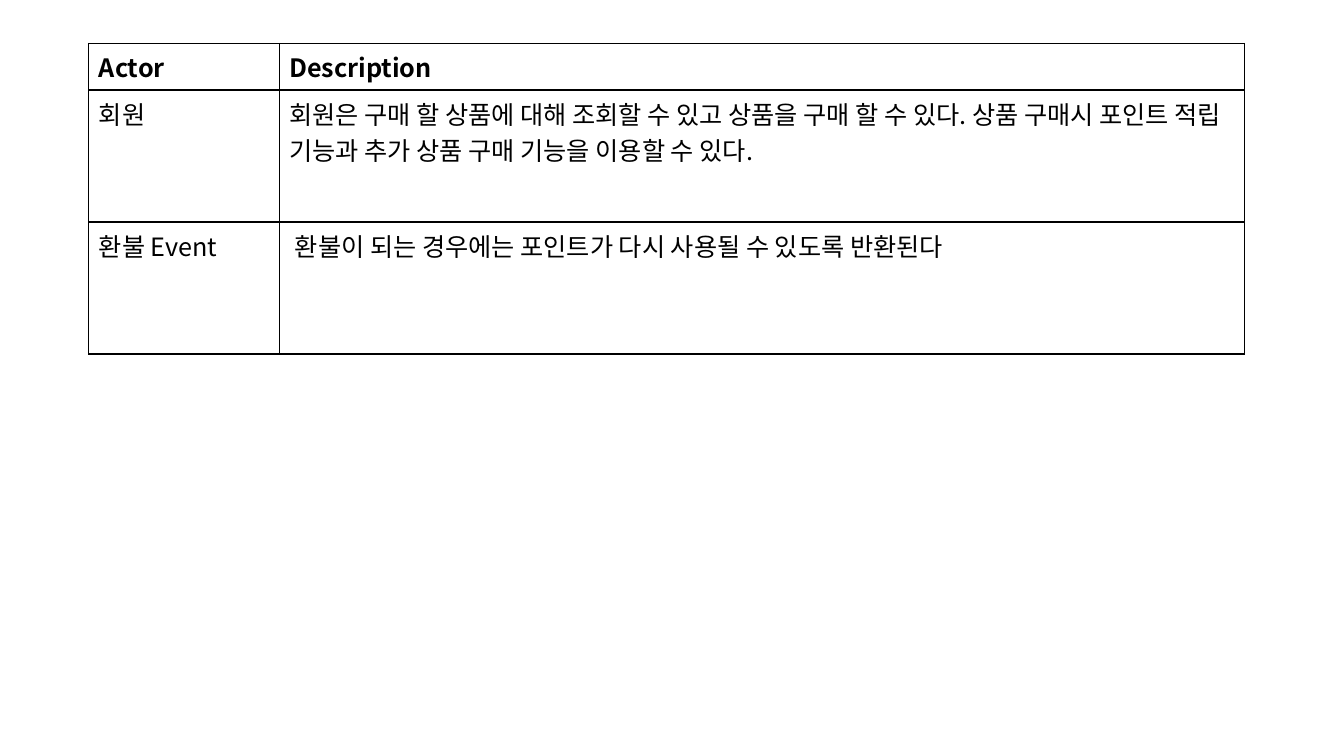
from dataclasses import dataclass

from lxml.etree import SubElement
from pptx import Presentation
from pptx.dml.color import RGBColor
from pptx.oxml.ns import qn
from pptx.slide import Slide
from pptx.table import _Cell
from pptx.util import Pt


@dataclass(frozen=True)
class Theme:
    font: str = "Noto Sans CJK KR"
    size: float = 18
    ink: str = "000000"
    paper: str = "FFFFFF"
    rule: float = 1


@dataclass(frozen=True)
class Row:
    actor: str
    text: str
    height: float
    bold: bool = False


THEME = Theme()
LEFT, TOP = 63.4, 31
WIDTHS = (136, 689.8)
ROWS = (
    Row("Actor", "Description", 28, bold=True),
    Row(
        "회원",
        "회원은 구매 할 상품에 대해 조회할 수 있고 상품을 구매 할 수 있다. "
        "상품 구매시 포인트 적립 기능과 추가 상품 구매 기능을 이용할 수 있다.",
        94.3,
    ),
    Row(
        "환불 Event",
        " 환불이 되는 경우에는 포인트가 다시 사용될 수 있도록 반환된다",
        94.3,
    ),
)


def add_rules(cell: _Cell) -> None:
    """Draw a solid line on all four sides; call before the fill is set."""
    props = cell._tc.get_or_add_tcPr()
    for side in ("lnL", "lnR", "lnT", "lnB"):
        line = SubElement(props, qn(f"a:{side}"), w=str(Pt(THEME.rule)))
        fill = SubElement(line, qn("a:solidFill"))
        SubElement(fill, qn("a:srgbClr"), val=THEME.ink)


def fill_cell(cell: _Cell, text: str, bold: bool) -> None:
    add_rules(cell)
    cell.fill.solid()
    cell.fill.fore_color.rgb = RGBColor.from_string(THEME.paper)
    cell.text_frame.text = text
    for run in cell.text_frame.paragraphs[0].runs:
        font = run.font
        font.name = THEME.font
        font.size = Pt(THEME.size)
        font.bold = bold
        font.color.rgb = RGBColor.from_string(THEME.ink)
        # Hangul takes its typeface from the East Asian slot.
        SubElement(run._r.get_or_add_rPr(), qn("a:ea"), typeface=THEME.font)


def add_actors(slide: Slide) -> None:
    height = sum(row.height for row in ROWS)
    table = slide.shapes.add_table(
        len(ROWS), len(WIDTHS), Pt(LEFT), Pt(TOP), Pt(sum(WIDTHS)), Pt(height)
    ).table
    table.horz_banding = False
    for col, width in zip(table.columns, WIDTHS):
        col.width = Pt(width)
    for line, row in zip(table.rows, ROWS):
        line.height = Pt(row.height)
        for cell, text in zip(line.cells, (row.actor, row.text)):
            fill_cell(cell, text, row.bold)


def main() -> None:
    deck = Presentation()
    deck.slide_width, deck.slide_height = Pt(960), Pt(540)
    slide = deck.slides.add_slide(deck.slide_layouts[6])
    add_actors(slide)
    deck.save("out.pptx")


if __name__ == "__main__":
    main()
